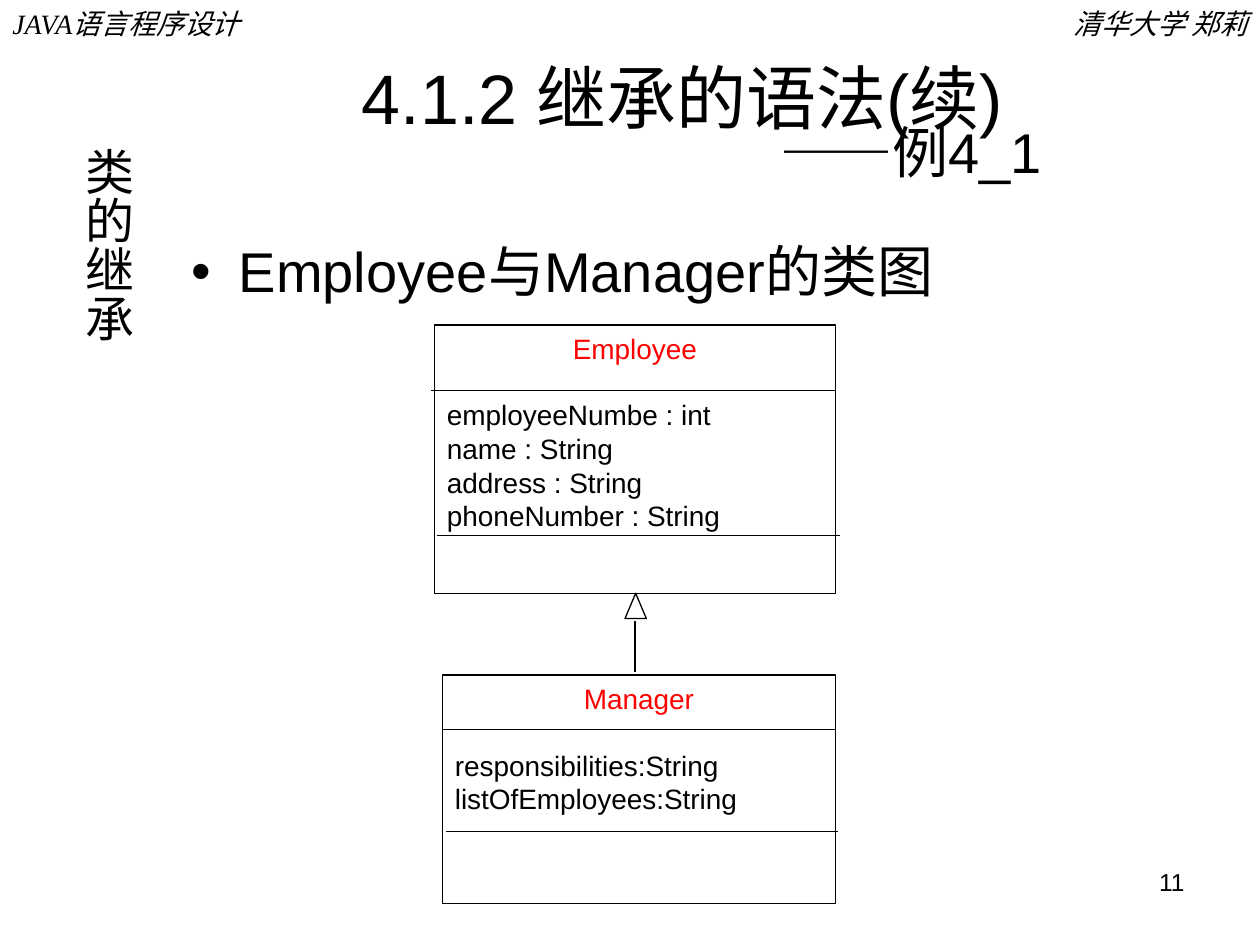
"""Build the class diagram slide on Java inheritance syntax."""
from dataclasses import dataclass

from lxml import etree
from pptx import Presentation
from pptx import util as u
from pptx.dml.color import RGBColor
from pptx.enum import shapes, text
from pptx.oxml import ns

BLACK = RGBColor(0, 0, 0)
RED = RGBColor(255, 0, 0)
SANS = "Arial"
SERIF = "Times New Roman"
ALIGN = text.PP_ALIGN


@dataclass(frozen=True)
class Box:
    left: float
    top: float
    width: float
    height: float

    def lengths(self) -> list[u.Cm]:
        return [u.Cm(value) for value in (self.left, self.top, self.width, self.height)]


@dataclass(frozen=True)
class Line:
    start: tuple[float, float]
    end: tuple[float, float]


@dataclass(frozen=True)
class Label:
    wording: str
    box: Box
    size: int
    font: str
    align: ALIGN
    italic: bool = False


@dataclass(frozen=True)
class ClassBox:
    name: str
    attributes: tuple[str, ...]
    box: Box
    dividers: tuple[Line, ...]


LABELS = (
    Label("清华大学 郑莉", Box(17.58, 0, 7.82, 0.94), 16, SERIF, ALIGN.RIGHT, True),
    Label("JAVA语言程序设计", Box(0, 0, 7.82, 0.94), 16, SERIF, ALIGN.LEFT, True),
    Label("11", Box(18.21, 17.35, 5.92, 1.32), 14, SANS, ALIGN.RIGHT),
)
SECTION = Label("类的继承", Box(1.22, 2.72, 1.68, 14.6), 28, SERIF, ALIGN.CENTER)
CLASSES = (
    ClassBox(
        "Employee",
        ("employeeNumbe : int", "name : String", "address : String", "phoneNumber : String"),
        Box(8.76, 6.55, 8.08, 5.41),
        (Line((8.69, 7.87), (16.84, 7.87)), Line((8.81, 10.8), (16.94, 10.8))),
    ),
    ClassBox(
        "Manager",
        ("responsibilities:String", "listOfEmployees:String"),
        Box(8.92, 13.61, 7.92, 4.6),
        (Line((8.94, 14.71), (16.84, 14.71)), Line((8.99, 16.76), (16.89, 16.76))),
    ),
)
ARROW_TIP = Box(12.6, 11.96, 0.43, 0.51)
ARROW_STEM = Line((12.8, 12.52), (12.8, 13.54))


def format_paragraph(paragraph, size: int, font: str = SANS, color: RGBColor = BLACK,
                     align: ALIGN = ALIGN.LEFT, italic: bool = False) -> None:
    paragraph.alignment = align
    paragraph.font.size = u.Pt(size)
    paragraph.font.name = font
    paragraph.font.italic = italic
    paragraph.font.color.rgb = color


def place(shape, box: Box) -> None:
    shape.left, shape.top, shape.width, shape.height = box.lengths()
    shape.text_frame.auto_size = text.MSO_AUTO_SIZE.NONE


def add_label(slide, label: Label):
    shape = slide.shapes.add_textbox(*label.box.lengths())
    frame = shape.text_frame
    frame.word_wrap = True
    frame.text = label.wording
    format_paragraph(frame.paragraphs[0], label.size, label.font,
                     align=label.align, italic=label.italic)
    return shape


def add_line(slide, line: Line) -> None:
    ends = [u.Cm(value) for value in line.start + line.end]
    connector = slide.shapes.add_connector(shapes.MSO_CONNECTOR.STRAIGHT, *ends)
    connector.line.color.rgb = BLACK
    connector.line.width = u.Pt(0.75)
    etree.SubElement(connector._element.spPr, ns.qn("a:effectLst"))


def add_outline(slide, kind: shapes.MSO_SHAPE, box: Box):
    shape = slide.shapes.add_shape(kind, *box.lengths())
    shape.shadow.inherit = False
    shape.fill.background()
    shape.line.color.rgb = BLACK
    shape.line.width = u.Pt(0.75)
    return shape


def add_class(slide, item: ClassBox) -> None:
    frame = add_outline(slide, shapes.MSO_SHAPE.RECTANGLE, item.box).text_frame
    frame.word_wrap = True
    frame.vertical_anchor = text.MSO_ANCHOR.TOP
    frame.text = "\n".join((item.name, *item.attributes))
    heading, *attributes = frame.paragraphs
    format_paragraph(heading, 16, color=RED, align=ALIGN.CENTER)
    attributes[0].space_before = u.Pt(19)
    for paragraph in attributes:
        format_paragraph(paragraph, 16, align=ALIGN.JUSTIFY)
    for divider in item.dividers:
        add_line(slide, divider)


def fill_title(title) -> None:
    place(title, Box(3.61, 0.64, 20.29, 3.18))
    frame = title.text_frame
    frame.vertical_anchor = text.MSO_ANCHOR.BOTTOM
    frame.text = "4.1.2 继承的语法(续)\n——例4_1"
    heading, example = frame.paragraphs
    example._p.get_or_add_pPr().set("marL", str(u.Cm(11.86)))
    format_paragraph(heading, 40, align=ALIGN.CENTER)
    format_paragraph(example, 32)
    for paragraph in frame.paragraphs:
        paragraph.line_spacing = 0.7


def fill_body(body) -> None:
    place(body, Box(3.61, 4.65, 20.12, 1.9))
    body.text_frame.text = "Employee与Manager的类图"
    paragraph = body.text_frame.paragraphs[0]
    paragraph.space_before = u.Pt(0)
    properties = paragraph._p.get_or_add_pPr()
    properties.set("marL", str(u.Cm(0.95)))
    properties.set("indent", str(u.Cm(-0.95)))
    etree.SubElement(properties, ns.qn("a:buChar"), char="•")
    format_paragraph(paragraph, 32)


def add_section(slide) -> None:
    frame = add_label(slide, SECTION).text_frame
    frame.margin_left = frame.margin_right = u.Cm(0.13)
    frame.margin_top = frame.margin_bottom = u.Cm(0.25)
    frame._txBody.bodyPr.set("vert", "eaVert")


def main() -> None:
    presentation = Presentation()
    presentation.slide_width, presentation.slide_height = u.Cm(25.4), u.Cm(19.05)
    slide = presentation.slides.add_slide(presentation.slide_layouts[1])
    fill_title(slide.shapes.title)
    fill_body(slide.placeholders[1])
    for label in LABELS:
        add_label(slide, label)
    for item in CLASSES:
        add_class(slide, item)
    add_outline(slide, shapes.MSO_SHAPE.ISOSCELES_TRIANGLE, ARROW_TIP)
    add_line(slide, ARROW_STEM)
    add_section(slide)
    presentation.save("out.pptx")


if __name__ == "__main__":
    main()
